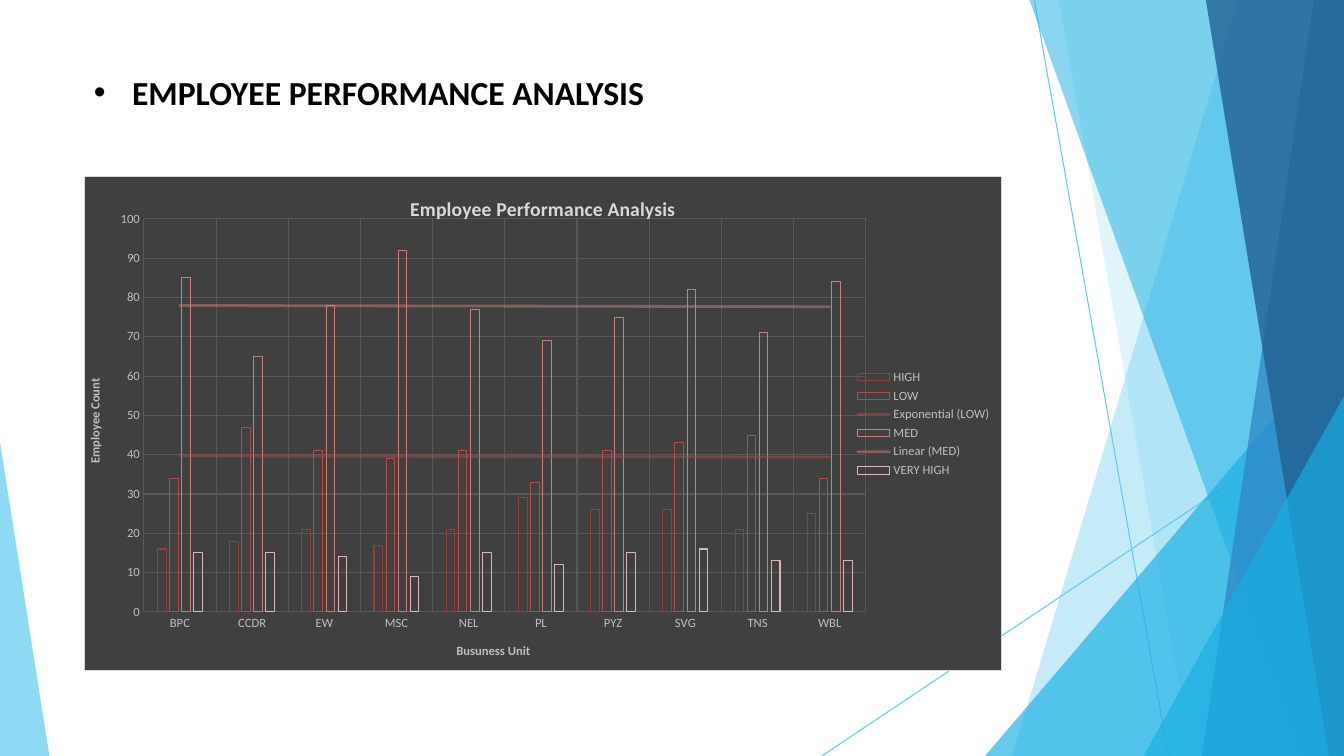
from lxml import etree
from pptx import Presentation
from pptx.chart.data import CategoryChartData
from pptx.dml.color import RGBColor
from pptx.enum import chart as kinds, shapes, text
from pptx.oxml import parse_xml
from pptx.oxml.ns import nsdecls, qn
from pptx.util import Inches, Pt

SKY = RGBColor(0x5F, 0xCA, 0xEE)
CYAN = RGBColor(0x17, 0xAF, 0xE3)
BLUE = RGBColor(0x2D, 0x83, 0xC3)
NAVY = RGBColor(0x22, 0x61, 0x92)
BLACK = RGBColor(0, 0, 0)
GRID = RGBColor(0x59, 0x59, 0x59)
LABEL = RGBColor(0xBF, 0xBF, 0xBF)
HEAD = RGBColor(0xD9, 0xD9, 0xD9)
RED = RGBColor(0x98, 0x3F, 0x3D)
BRICK = RGBColor(0xB4, 0x4B, 0x48)
ROSE = RGBColor(0xCA, 0x7F, 0x7D)
PINK = RGBColor(0xDD, 0xB6, 0xB5)
WIDE, HIGH = 13.33, 7.5


def style(font, size, color, bold=False):
    font.name = "Calibri"
    font.size = Pt(size)
    font.bold = bold
    font.color.rgb = color


def label(owner, words, size, color):
    frame = owner.text_frame
    frame.text = words
    style(frame.paragraphs[0].runs[0].font, size, color, True)


deck = Presentation()
deck.slide_width = Inches(WIDE)
deck.slide_height = Inches(HIGH)
slide = deck.slides.add_slide(deck.slide_layouts[5])

for x1, y1, x2, y2 in [(10.26, 0.01, 11.59, HIGH), (WIDE, 4.04, 8.15, HIGH)]:
    line = slide.shapes.add_connector(
        shapes.MSO_CONNECTOR.STRAIGHT, Inches(x1), Inches(y1), Inches(x2), Inches(y2))
    line.line.color.rgb = SKY
    line.line.width = Pt(0.75)
    etree.SubElement(line._element.spPr, qn("a:effectLst"))

right = (WIDE, HIGH)
facets = [
    (SKY, 36, [(WIDE, 0), (12.28, 0), (10.04, HIGH), right]),
    (SKY, 20, [(WIDE, 0), (10.5, 0), (11.82, HIGH), right]),
    (CYAN, 66, [(WIDE, 3.33), (9.77, HIGH), right]),
    (CYAN, 50, [(WIDE, 0), (10.21, 0), (12.91, HIGH), right]),
    (BLUE, 70, [(WIDE, 0), (13.03, 0), (11.92, HIGH), right]),
    (NAVY, 80, [(WIDE, 0), (11.96, 0), (13.18, HIGH), right]),
    (CYAN, 66, [(WIDE, 3.93), (11.34, HIGH), right]),
    (SKY, 70, [(0, 4.39), (0, HIGH), (0.49, HIGH)]),
]
for color, alpha, corners in facets:
    points = [(Inches(x), Inches(y)) for x, y in corners]
    pen = slide.shapes.build_freeform(*points[0])
    pen.add_line_segments(points[1:], close=True)
    facet = pen.convert_to_shape()
    facet.shadow.inherit = False
    facet.line.fill.background()
    facet.fill.solid()
    facet.fill.fore_color.rgb = color
    tint = facet._element.spPr.find(".//" + qn("a:srgbClr"))
    etree.SubElement(tint, qn("a:alpha"), val=str(alpha * 1000))

data = CategoryChartData()
data.categories = ["BPC", "CCDR", "EW", "MSC", "NEL", "PL", "PYZ", "SVG", "TNS", "WBL"]
rows = [
    ("HIGH", RED, None, [16, 18, 21, 17, 21, 29, 26, 26, 21, 25]),
    ("LOW", BRICK, "exp", [34, 47, 41, 39, 41, 33, 41, 43, 45, 34]),
    ("MED", ROSE, "linear", [85, 65, 78, 92, 77, 69, 75, 82, 71, 84]),
    ("VERY HIGH", PINK, None, [15, 15, 14, 9, 15, 12, 15, 16, 13, 13]),
]
for name, color, trend, values in rows:
    data.add_series(name, values)
chart = slide.shapes.add_chart(
    kinds.XL_CHART_TYPE.COLUMN_CLUSTERED, Inches(0.83), Inches(1.75),
    Inches(9.11), Inches(4.91), data).chart
style(chart.font, 10, BLACK)
label(chart.chart_title, "Employee Performance Analysis", 14, HEAD)
chart.chart_title._element.find(qn("c:overlay")).set("val", "1")
chart.has_legend = True
chart.legend.position = kinds.XL_LEGEND_POSITION.RIGHT
chart.legend.include_in_layout = False
style(chart.legend.font, 9, LABEL)

plot = chart.plots[0]
plot.gap_width = 315
plot.overlap = -40
plot.vary_by_categories = False
for bars, (name, color, trend, values) in zip(plot.series, rows):
    bars.format.fill.background()
    bars.format.line.color.rgb = color
    bars.format.line.width = Pt(0.75)
    if trend:
        bars._element.find(qn("c:cat")).addprevious(parse_xml(
            f'<c:trendline {nsdecls("c", "a")}><c:spPr><a:ln w="25400" cap="rnd"><a:solidFill>'
            f'<a:srgbClr val="{color}"><a:alpha val="50000"/></a:srgbClr></a:solidFill></a:ln></c:spPr>'
            f'<c:trendlineType val="{trend}"/><c:dispRSqr val="0"/><c:dispEq val="0"/></c:trendline>'))

for axis, words in [(chart.category_axis, "Busuness Unit"), (chart.value_axis, "Employee Count")]:
    label(axis.axis_title, words, 9, LABEL)
    style(axis.tick_labels.font, 9, LABEL)
    axis.major_tick_mark = kinds.XL_TICK_MARK.NONE
    axis.format.line.fill.background()
    axis.has_major_gridlines = True
    axis.major_gridlines.format.line.color.rgb = GRID
    axis.major_gridlines.format.line.width = Pt(0.75)
chart.value_axis.minimum_scale = 0
chart.value_axis.maximum_scale = 100
chart.value_axis.major_unit = 10

area = chart._chartSpace.chart.plotArea
for old in area.findall(qn("c:layout")):
    area.remove(old)
area.insert(0, parse_xml(
    f'<c:layout {nsdecls("c")}><c:manualLayout><c:layoutTarget val="inner"/>'
    '<c:xMode val="edge"/><c:yMode val="edge"/><c:x val="0.065"/><c:y val="0.085"/>'
    '<c:w val="0.787"/><c:h val="0.796"/></c:manualLayout></c:layout>'))
chart._chartSpace.chart.addnext(parse_xml(
    f'<c:spPr {nsdecls("c", "a")}><a:solidFill><a:srgbClr val="404040"/></a:solidFill>'
    '<a:ln w="9525"><a:solidFill><a:srgbClr val="D9D9D9"/></a:solidFill></a:ln></c:spPr>'))

title = slide.shapes.title
title.left, title.top = Inches(0.83), Inches(0.66)
title.width, title.height = Inches(8.17), Inches(0.5)
frame = title.text_frame
frame.word_wrap = True
frame.auto_size = text.MSO_AUTO_SIZE.NONE
frame.vertical_anchor = text.MSO_ANCHOR.TOP
label(title, "EMPLOYEE PERFORMANCE ANALYSIS", 24, BLACK)
para = frame.paragraphs[0]
para.alignment = text.PP_ALIGN.LEFT
props = para._p.get_or_add_pPr()
props.set("marL", str(Inches(0.38)))
props.set("indent", str(Inches(-0.38)))
etree.SubElement(props, qn("a:buFont"), typeface="Arial")
etree.SubElement(props, qn("a:buChar"), char="•")

deck.save("out.pptx")
